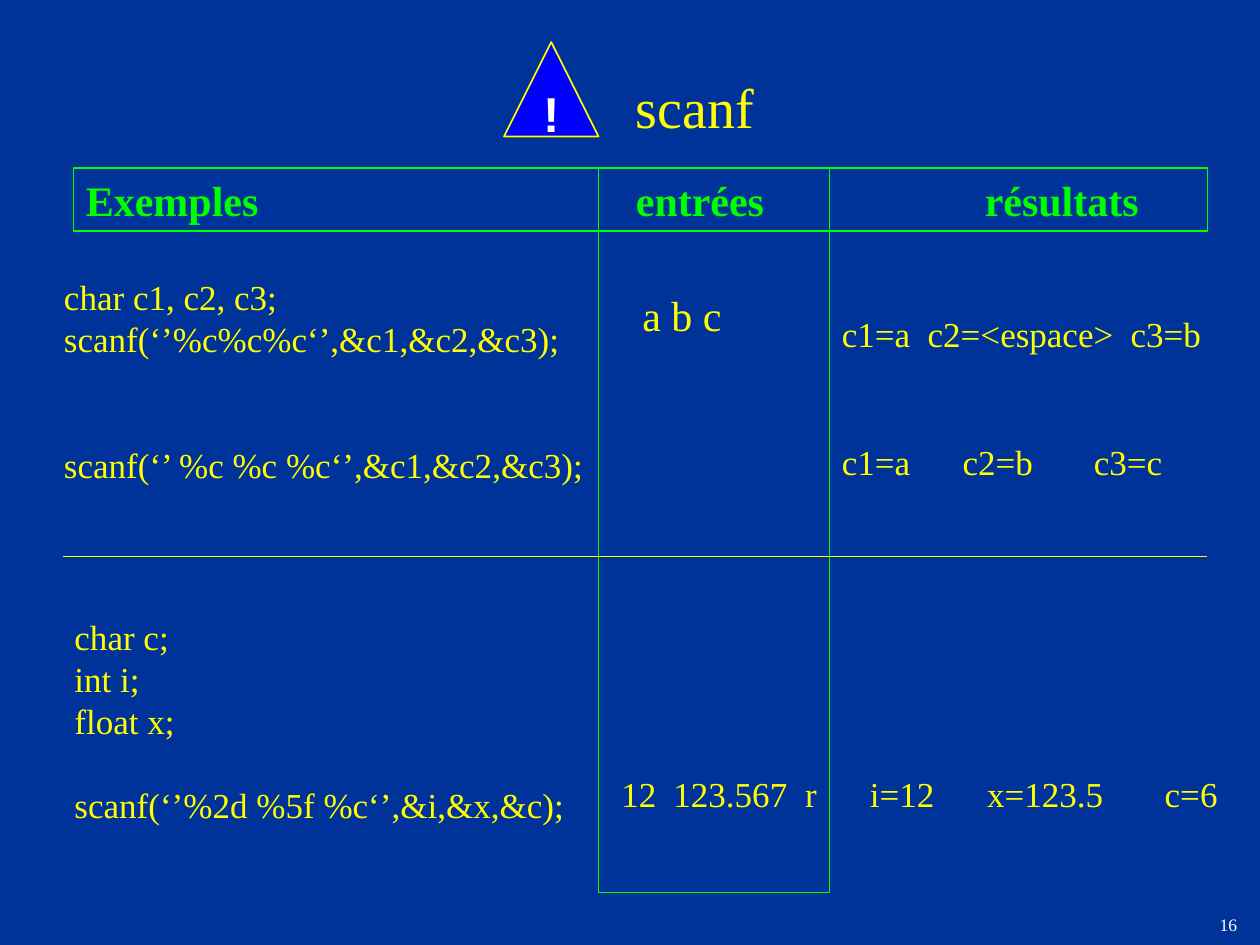
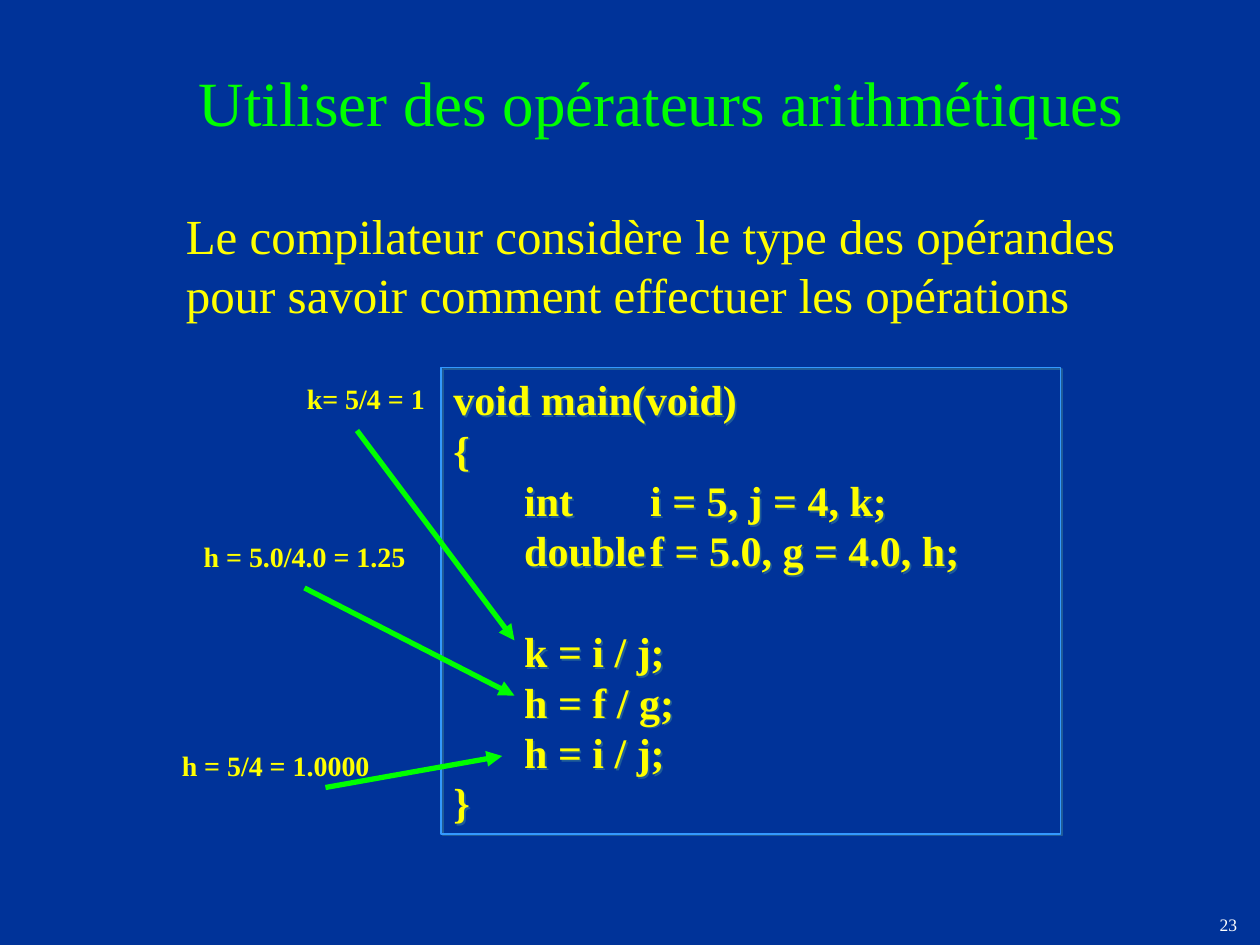
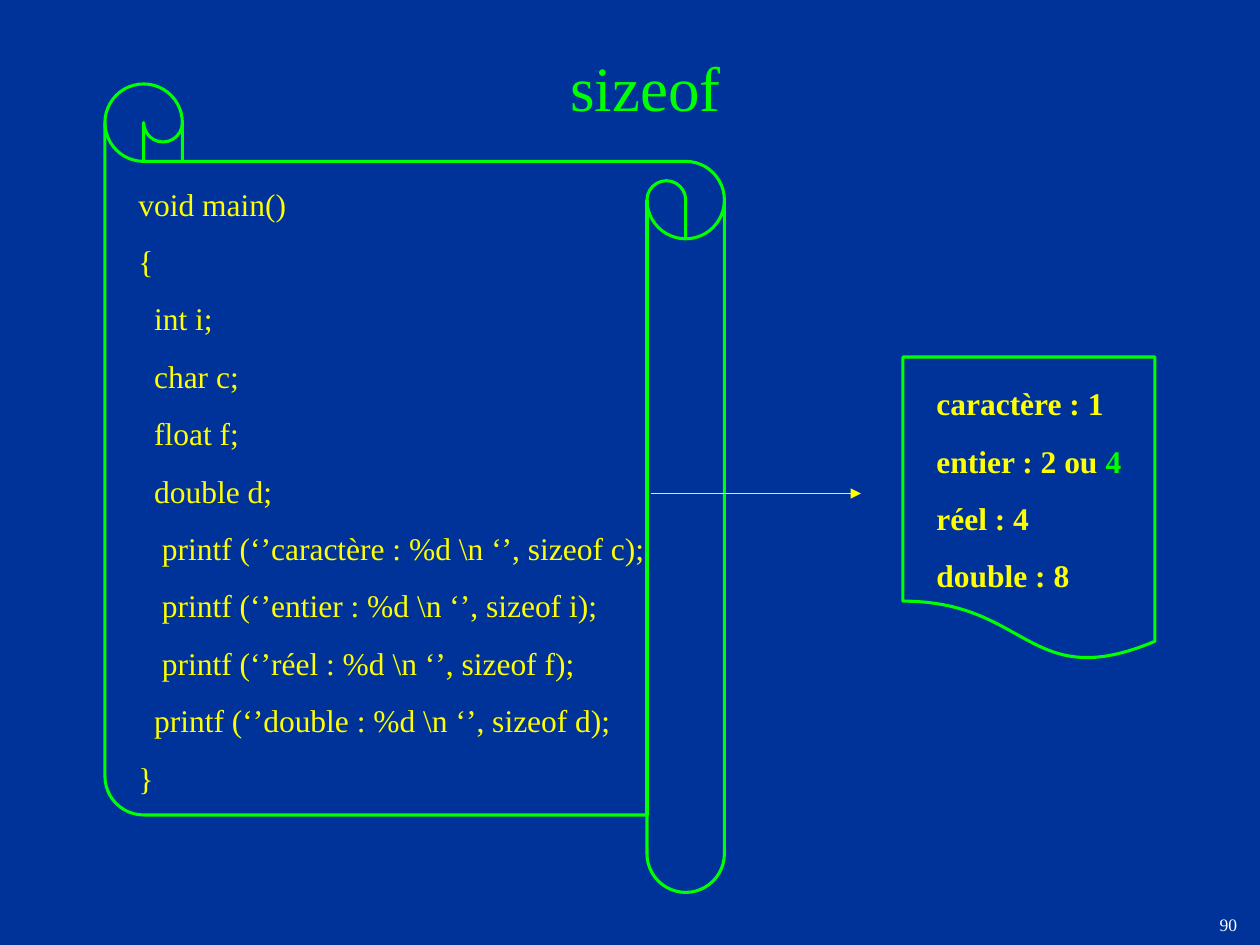
from itertools import zip_longest

from lxml.etree import SubElement
from pptx import Presentation
from pptx.dml.color import RGBColor
from pptx.enum.shapes import MSO_CONNECTOR, MSO_SHAPE
from pptx.enum.text import MSO_ANCHOR, PP_ALIGN
from pptx.oxml.ns import qn
from pptx.util import Pt

NAVY, BLUE, SKY, SHADE = "003399", "0000FF", "3399FF", "1F5C99"
GREEN, YELLOW, WHITE = "00FF00", "FFFF00", "FFFFFF"
SERIF, SANS = "Times New Roman", "Arial"
LEFT, MID, RIGHT = PP_ALIGN.LEFT, PP_ALIGN.CENTER, PP_ALIGN.RIGHT


def tint(code):
    """Turn a hex string into a colour."""
    return RGBColor.from_string(code)


def style(run, size, hue, bold=False, face=SERIF):
    """Format one run."""
    font = run.font
    font.name, font.size, font.bold = face, Pt(size), bold
    font.color.rgb = tint(hue)


def write(shape, lines, size, hue=YELLOW, bold=False, align=LEFT, gaps=(), tabs=(), face=SERIF):
    """Fill a shape with one paragraph per line, with gaps before and tab stops."""
    frame = shape.text_frame
    frame.word_wrap = True
    frame.vertical_anchor = MSO_ANCHOR.TOP
    frame.text = "\n".join(lines)
    for para, gap in zip_longest(frame.paragraphs, gaps, fillvalue=0):
        if tabs:
            stops = SubElement(para._p.get_or_add_pPr(), qn("a:tabLst"))
            for stop in tabs:
                SubElement(stops, qn("a:tab"), pos=str(Pt(stop)), algn="l")
        para.alignment = align
        para.space_before = Pt(gap)
        for run in para.runs:
            style(run, size, hue, bold, face)
    return frame


def label(slide, area, lines, size, **look):
    """Add a text box."""
    box = slide.shapes.add_textbox(*map(Pt, area))
    return write(box, lines, size, **look)


def outline(slide, kind, area, hue, width, fill=None, flip=False):
    """Add a preset shape with a coloured outline."""
    shape = slide.shapes.add_shape(kind, *map(Pt, area))
    shape.shadow.inherit = False
    shape.line.color.rgb = tint(hue)
    shape.line.width = Pt(width)
    if fill:
        shape.fill.solid()
        shape.fill.fore_color.rgb = tint(fill)
    else:
        shape.fill.background()
    if flip:
        shape._element.spPr.find(qn("a:xfrm")).set("flipH", "1")
    return shape


def shade(shape, hue):
    """Give a shape a sharp diagonal shadow."""
    effects = shape._element.spPr.find(qn("a:effectLst"))
    outer = SubElement(effects, qn("a:outerShdw"), dist=str(Pt(1.4)), dir="2700000", algn="ctr", rotWithShape="0")
    SubElement(outer, qn("a:srgbClr"), val=hue)


def rule(slide, ends, hue, width, arrow=False):
    """Draw a straight line, with an arrowhead if asked."""
    line = slide.shapes.add_connector(MSO_CONNECTOR.STRAIGHT, *map(Pt, ends))
    line.line.color.rgb = tint(hue)
    line.line.width = Pt(width)
    if arrow:
        SubElement(line.line._get_or_add_ln(), qn("a:tailEnd"), type="triangle")
    SubElement(line._element.spPr, qn("a:effectLst"))


def title(slide, area, text, size=36, hue=GREEN):
    """Add a centred slide title."""
    return label(slide, area, [text], size, hue=hue, align=MID)


def start(deck, number):
    """Add a blank slide with its page number."""
    slide = deck.slides.add_slide(deck.slide_layouts[6])
    frame = label(slide, (624, 516, 90, 24), [number], 10, hue=WHITE, align=RIGHT)
    frame.vertical_anchor = MSO_ANCHOR.MIDDLE
    return slide


def scan(deck):
    """Build the scanf examples."""
    slide = start(deck, "16")
    title(slide, (356, 38, 82, 46), "scanf", 32, YELLOW)
    sign = outline(slide, MSO_SHAPE.ISOSCELES_TRIANGLE, (288, 24, 54, 54), YELLOW, 1, BLUE)
    frame = write(sign, ["!"], 28, hue=WHITE, bold=True, align=MID, face=SANS)
    frame.word_wrap = False
    frame.vertical_anchor = MSO_ANCHOR.MIDDLE

    head = outline(slide, MSO_SHAPE.RECTANGLE, (42, 96, 648, 36), GREEN, 0.75)
    write(head, ["Exemples\tentrées\trésultats"], 24, hue=GREEN, bold=True, tabs=(314.3, 513.7))
    outline(slide, MSO_SHAPE.RECTANGLE, (342, 96, 132, 414), GREEN, 0.75)
    rule(slide, (36, 318, 690, 318), YELLOW, 0.75)

    chars = ["char c1, c2, c3;", "scanf(‘’%c%c%c‘’,&c1,&c2,&c3);", "scanf(‘’ %c %c %c‘’,&c1,&c2,&c3);"]
    label(slide, (29.5, 154, 313, 151), chars, 20, gaps=(0, 0, 48))
    label(slide, (360, 162, 72, 36), ["a b c"], 24)
    label(slide, (474, 175, 234, 32), ["c1=a\tc2=<espace>\tc3=b"], 20, tabs=(49, 165))
    label(slide, (474, 248, 234, 32), ["c1=a\tc2=b\tc3=c"], 20, tabs=(69, 144))

    mixed = ["char c;", "int i;", "float x;", "scanf(‘’%2d %5f %c‘’,&i,&x,&c);"]
    label(slide, (35.5, 348, 299, 151), mixed, 20, gaps=(0, 0, 0, 24))
    label(slide, (348, 438, 132, 32), ["12\t123.567\tr"], 20, tabs=(29.7, 105))
    label(slide, (490, 438, 216, 32), ["i=12\tx=123.5\tc=6"], 20, tabs=(67, 168.5))


def divide(deck):
    """Build the arithmetic operators slide."""
    slide = start(deck, "23")
    frame = title(slide, (0, 18, 756, 90), "Utiliser des opérateurs arithmétiques")
    frame.vertical_anchor = MSO_ANCHOR.MIDDLE
    frame.paragraphs[0].line_spacing = 0.7
    body = "Le compilateur considère le type des opérandes pour savoir comment effectuer les opérations"
    label(slide, (72, 114, 612, 366), [body], 28).margin_left = Pt(34.2)

    code = ["void main(void)", "{", "\tint\ti = 5, j = 4, k;", "\tdouble\tf = 5.0, g = 4.0, h;",
            "\tk = i / j;", "\th = f / g;", "\th = i / j;", "}"]
    panel = outline(slide, MSO_SHAPE.RECTANGLE, (252, 210, 354, 266.5), SKY, 1)
    shade(panel, SHADE)
    write(panel, code, 24, bold=True, gaps=(0, 0, 0, 0, 28.8), tabs=(40.5, 112.5))

    notes = [
        ("k= 5/4 = 1", (89, 214.5, 240, 26), (204, 246, 294, 366)),
        ("h = 5.0/4.0 = 1.25", (56, 304.5, 236, 26), (174, 336, 294, 397.5)),
        ("h = 5/4 = 1.0000", (36, 424, 243, 26), (186, 450, 287, 432)),
    ]
    for text, area, ends in notes:
        label(slide, area, [text], 16, bold=True, align=MID)
        rule(slide, ends, GREEN, 3, True)


def measure(deck):
    """Build the sizeof slide."""
    slide = start(deck, "90")
    outline(slide, MSO_SHAPE.HORIZONTAL_SCROLL, (60, 48, 354, 462), GREEN, 1.75, flip=True)
    outline(slide, MSO_SHAPE.FLOWCHART_DOCUMENT, (516, 204, 144, 174), GREEN, 1.75, flip=True)
    rule(slide, (372, 282, 492, 282), YELLOW, 0.75, True)
    title(slide, (300, 24, 138, 50), "sizeof")

    code = ["void main()", "{", "  int i;", "  char c;", "  float f;", "  double d;",
            r"   printf (‘’caractère : %d \n ‘’, sizeof c);", r"   printf (‘’entier : %d \n ‘’, sizeof i);",
            r"   printf (‘’réel : %d \n ‘’, sizeof f);", r"  printf (‘’double : %d \n ‘’, sizeof d);", "}"]
    label(slide, (72, 102, 312, 358), code, 18, gaps=[0] + [11.2] * 10)
    sizes = ["caractère : 1", "entier : 2 ou ", "réel : 4", "double : 8"]
    frame = label(slide, (528, 216, 132, 158), sizes, 18, bold=True, gaps=[0] + [11.2] * 3)
    run = frame.paragraphs[1].add_run()
    run.text = "4"
    style(run, 18, GREEN, True)


def main():
    """Build and save the deck."""
    deck = Presentation()
    deck.slide_width, deck.slide_height = Pt(720), Pt(540)
    fill = deck.slide_master.background.fill
    fill.solid()
    fill.fore_color.rgb = tint(NAVY)
    for build in (scan, divide, measure):
        build(deck)
    deck.save("out.pptx")


if __name__ == "__main__":
    main()
